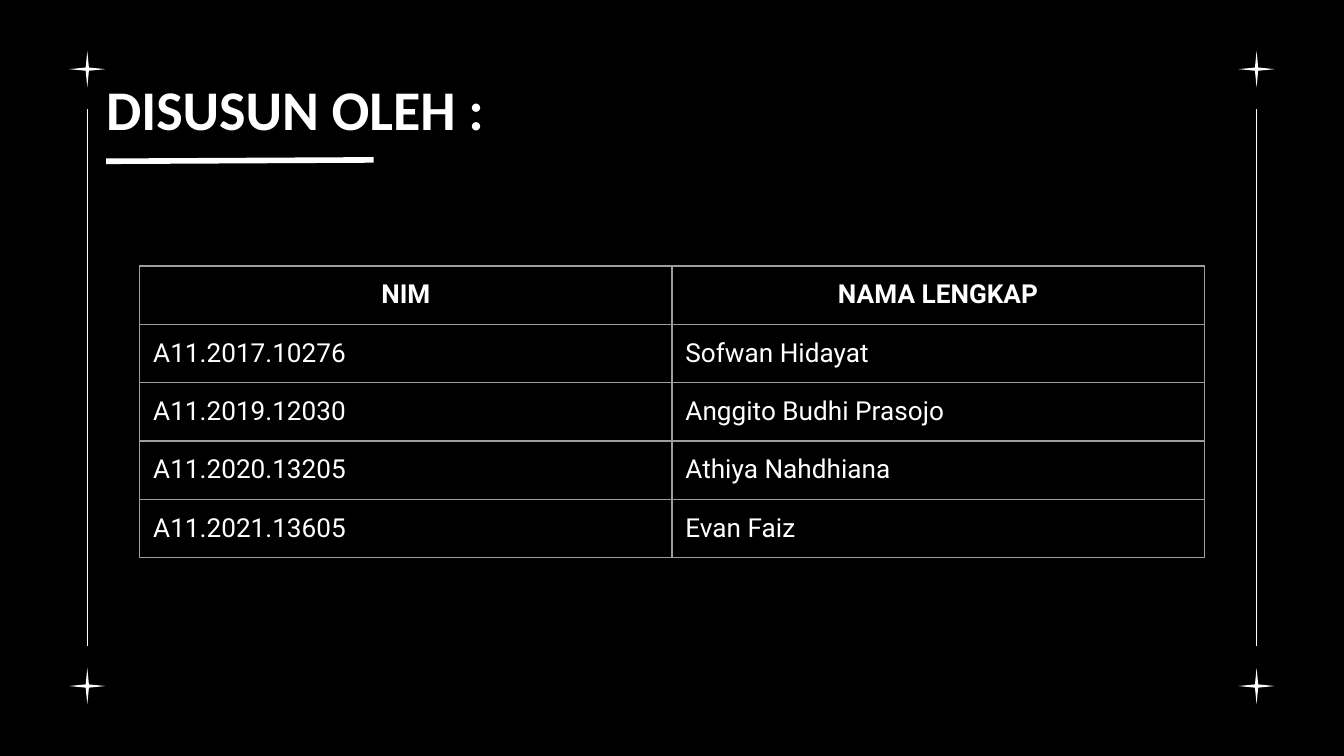
from lxml.etree import SubElement
from pptx import Presentation
from pptx.dml.color import RGBColor
from pptx.enum.shapes import MSO_CONNECTOR, MSO_SHAPE
from pptx.enum.text import MSO_ANCHOR, PP_ALIGN
from pptx.oxml.ns import qn
from pptx.util import Inches, Pt

COLORS = {"background": "000000", "white": "FFFFFF", "border": "9E9E9E"}


def add_line(page, x1, y1, x2, y2, width):
    line = page.shapes.add_connector(
        MSO_CONNECTOR.STRAIGHT, Inches(x1), Inches(y1), Inches(x2), Inches(y2))
    line.line.color.rgb = RGBColor.from_string(COLORS["white"])
    line.line.width = Pt(width)
    SubElement(line._element.spPr, qn("a:effectLst"))


def format_text(para, font_name, size, bold):
    for span in para.runs:
        span.font.name = font_name
        span.font.size = Pt(size)
        span.font.bold = bold
        span.font.color.rgb = RGBColor.from_string(COLORS["white"])


# Widescreen page, 16:9
deck = Presentation()
deck.slide_width = Inches(10)
deck.slide_height = Inches(10 * 9 / 16)
page = deck.slides.add_slide(deck.slide_layouts[6])
page.background.fill.solid()
page.background.fill.fore_color.rgb = RGBColor.from_string(COLORS["background"])

# Side lines with a star above and below
star_size = 0.27
for x in (9.35, 0.65):
    add_line(page, x, 4.81, x, 0.81, 0.75)
    for top in (0.38, 4.97):
        star = page.shapes.add_shape(
            MSO_SHAPE.STAR_4_POINT, Inches(x - star_size / 2), Inches(top),
            Inches(star_size), Inches(star_size))
        star.adjustments[0] = 0.063
        star.fill.solid()
        star.fill.fore_color.rgb = RGBColor.from_string(COLORS["white"])
        star.line.fill.background()
        star.shadow.inherit = False

# Title and underline
title = page.shapes.add_textbox(Inches(0.79), Inches(0.49), Inches(3.36), Inches(0.63))
frame = title.text_frame
frame.word_wrap = True
frame.vertical_anchor = MSO_ANCHOR.MIDDLE
frame.margin_left = frame.margin_right = frame.margin_top = frame.margin_bottom = 0
frame.text = "DISUSUN OLEH :"
format_text(frame.paragraphs[0], "Calibri", 30, True)
add_line(page, 0.79, 1.2, 2.78, 1.19, 3)

# Table of members
members = [
    ("NIM", "NAMA LENGKAP"),
    ("A11.2017.10276", "Sofwan Hidayat"),
    ("A11.2019.12030", "Anggito Budhi Prasojo"),
    ("A11.2020.13205", "Athiya Nahdhiana"),
    ("A11.2021.13605", "Evan Faiz"),
]
column_width, row_height = 3.96, 0.42
table = page.shapes.add_table(
    len(members), 2, Inches(1.04), Inches(1.98),
    Inches(2 * column_width), Inches(len(members) * row_height)).table
table.first_row = False
table.horz_banding = False
for column in table.columns:
    column.width = Inches(column_width)

for row, values in enumerate(members):
    for column, value in enumerate(values):
        cell = table.cell(row, column)
        cell.margin_left = cell.margin_right = Inches(0.1)
        cell.margin_top = cell.margin_bottom = Inches(0.1)
        cell.text_frame.text = value
        para = cell.text_frame.paragraphs[0]
        para.alignment = PP_ALIGN.CENTER if row == 0 else PP_ALIGN.LEFT
        format_text(para, "Roboto", 14, row == 0)
        # Borders come before the fill in the cell properties
        properties = cell._tc.get_or_add_tcPr()
        for side in ("a:lnL", "a:lnR", "a:lnT", "a:lnB"):
            border = SubElement(properties, qn(side), w=str(Pt(0.75)))
            fill = SubElement(border, qn("a:solidFill"))
            SubElement(fill, qn("a:srgbClr"), val=COLORS["border"])
        cell.fill.background()

deck.save("out.pptx")
